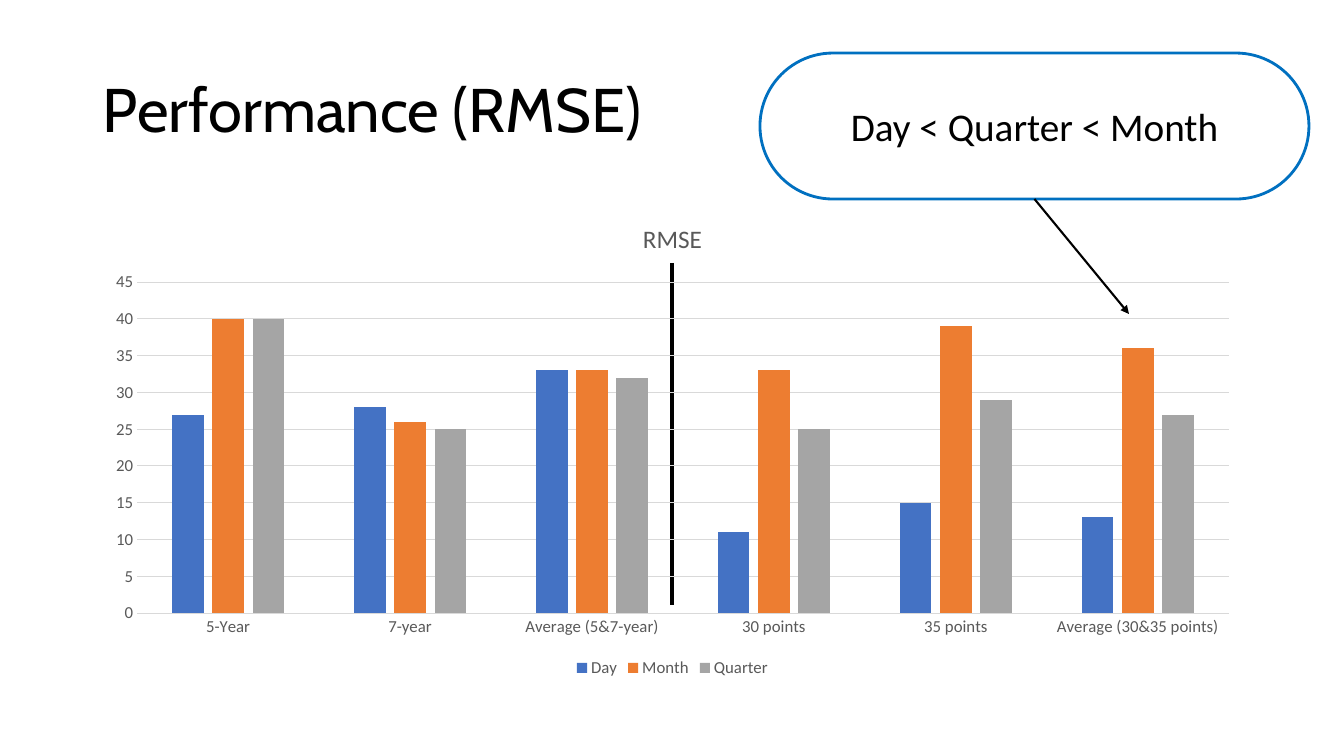
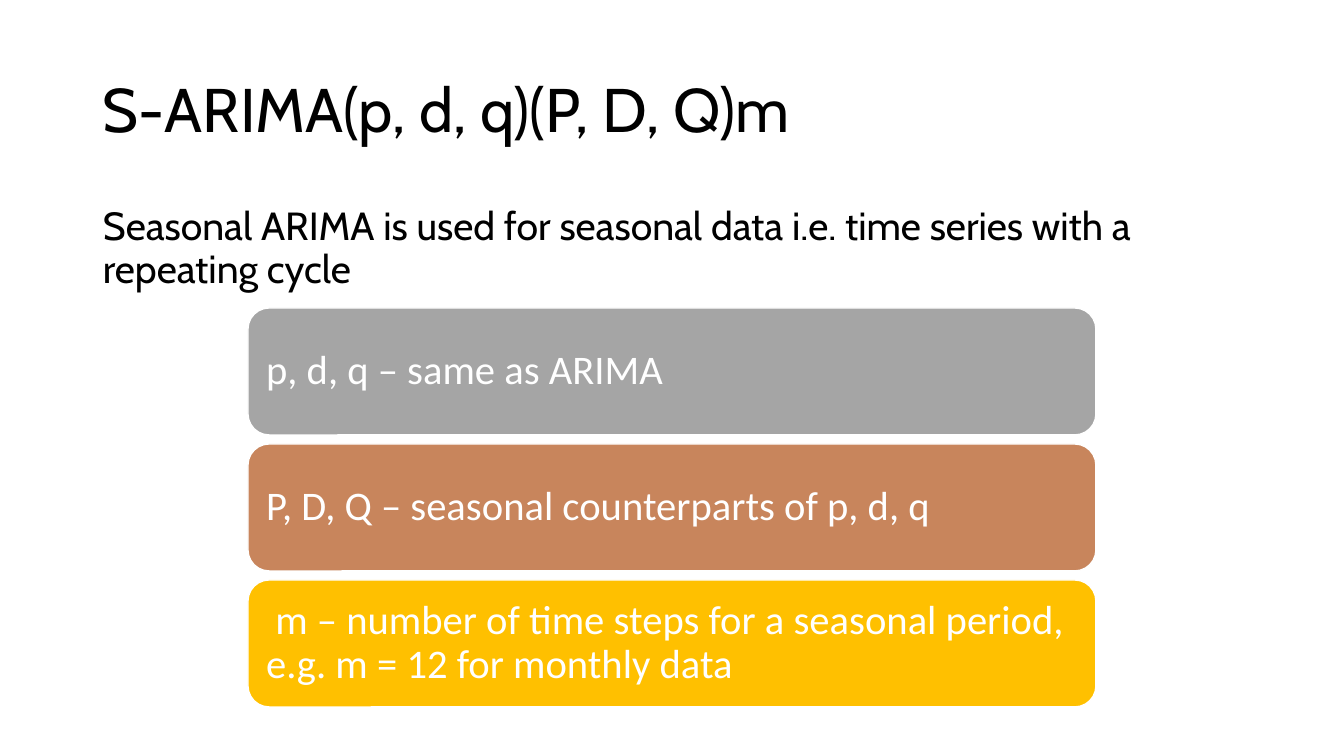
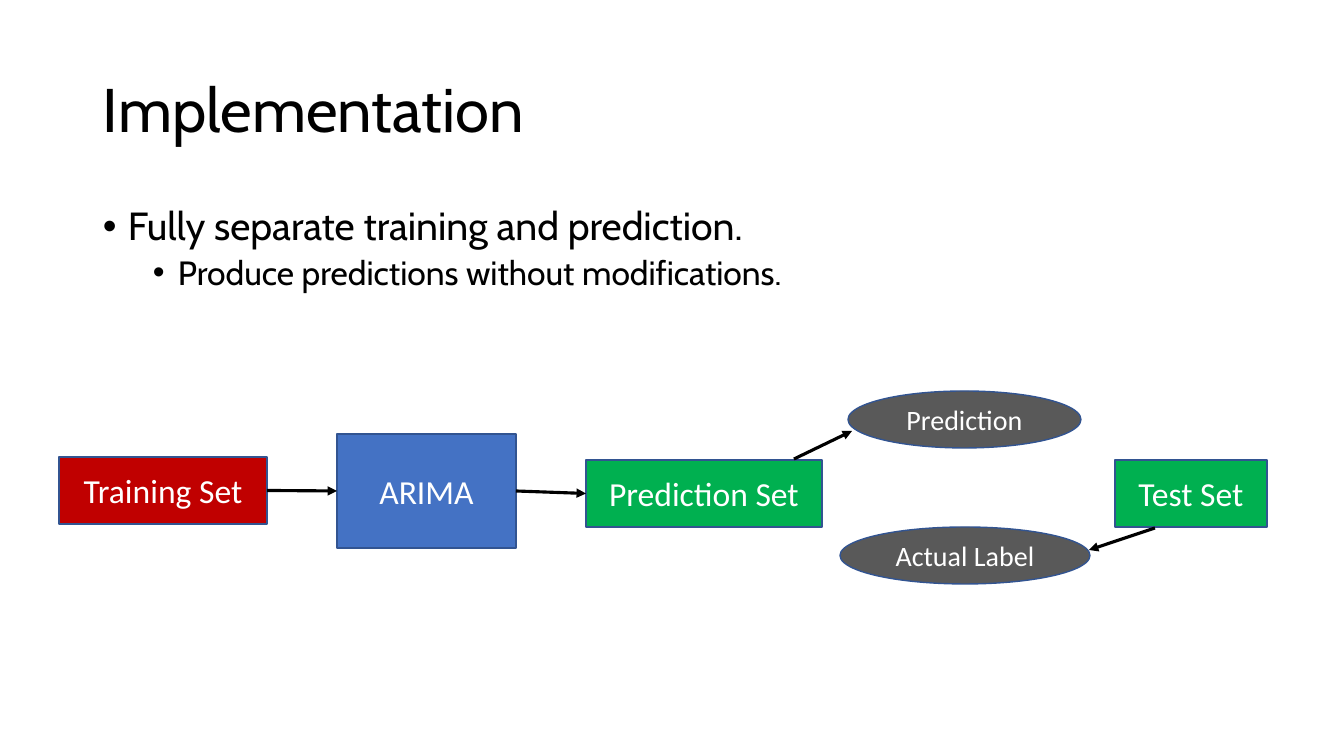
from lxml.etree import SubElement
from pptx import Presentation
from pptx.chart.data import CategoryChartData
from pptx.dml.color import RGBColor
from pptx.enum.chart import XL_CHART_TYPE, XL_LEGEND_POSITION, XL_TICK_MARK
from pptx.enum.shapes import MSO_CONNECTOR, MSO_SHAPE
from pptx.enum.text import MSO_ANCHOR, PP_ALIGN
from pptx.oxml.ns import qn
from pptx.util import Emu, Pt

BLACK = RGBColor(0x00, 0x00, 0x00)
WHITE = RGBColor(0xFF, 0xFF, 0xFF)
BLUE = RGBColor(0x44, 0x72, 0xC4)
ORANGE = RGBColor(0xED, 0x7D, 0x31)
GRAY = RGBColor(0xA5, 0xA5, 0xA5)
COPPER = RGBColor(0xC8, 0x85, 0x5C)
GOLD = RGBColor(0xFF, 0xC0, 0x00)
RED = RGBColor(0xC0, 0x00, 0x00)
GREEN = RGBColor(0x00, 0xB0, 0x50)
DARK_GRAY = RGBColor(0x59, 0x59, 0x59)
GRID_GRAY = RGBColor(0xD9, 0xD9, 0xD9)
OUTLINE = RGBColor(0x32, 0x54, 0x91)
CALLOUT_BLUE = RGBColor(0x00, 0x70, 0xC0)

HEADING_FONT = "Cabin"
TEXT_FONT = "Calibri"

TITLE_AREA = (93, 40, 1159, 146)
BODY_AREA = (93, 202, 1159, 480)
TOP, LEFT, BOTTOM, RIGHT = range(4)


def px(length):
    return Emu(round(length * 914400 / 100.8))


def style_font(font, size, color, name=TEXT_FONT):
    font.size = Pt(size)
    font.name = name
    font.color.rgb = color


def style_paragraph(paragraph, size, color, name=TEXT_FONT, spacing=None):
    paragraph.line_spacing = spacing
    for run in paragraph.runs:
        style_font(run.font, size, color, name)


def add_text_area(slide, area, anchor):
    text_frame = slide.shapes.add_textbox(*map(px, area)).text_frame
    text_frame.word_wrap = True
    text_frame.vertical_anchor = anchor
    return text_frame


def add_title_slide(deck, title):
    slide = deck.slides.add_slide(deck.slide_layouts[6])
    heading = add_text_area(slide, TITLE_AREA, MSO_ANCHOR.MIDDLE)
    heading.text = title
    style_paragraph(heading.paragraphs[0], 44, BLACK, HEADING_FONT, 0.9)
    return slide


def add_bullet(paragraph, indent):
    properties = paragraph._p.get_or_add_pPr()
    properties.set("marL", str(px(indent)))
    properties.set("indent", str(px(-25)))
    SubElement(properties, qn("a:buFont")).set("typeface", "Arial")
    SubElement(properties, qn("a:buChar")).set("char", "•")


def add_body(slide, lines, bulleted=False):
    body = add_text_area(slide, BODY_AREA, MSO_ANCHOR.TOP)
    body.text = "\n".join(lines)
    for level, paragraph in enumerate(body.paragraphs):
        if bulleted:
            add_bullet(paragraph, 25 + 50 * level)
        style_paragraph(paragraph, 28 - 4 * level, BLACK, HEADING_FONT, 0.9)
        if level:
            paragraph.space_before = Pt(5)


def add_box(slide, kind, area, text, size, fill, outline, weight=1, color=WHITE):
    box = slide.shapes.add_shape(kind, *map(px, area))
    box.shadow.inherit = False
    if fill is None:
        box.fill.background()
    else:
        box.fill.solid()
        box.fill.fore_color.rgb = fill
    box.line.color.rgb = outline
    box.line.width = Pt(weight)
    box.text_frame.word_wrap = True
    box.text_frame.vertical_anchor = MSO_ANCHOR.MIDDLE
    box.text_frame.text = text
    label = box.text_frame.paragraphs[0]
    label.alignment = PP_ALIGN.CENTER
    style_paragraph(label, size, color)
    return box


def add_line(slide, start, end, weight, arrow=True):
    line = slide.shapes.add_connector(MSO_CONNECTOR.STRAIGHT, *map(px, start + end))
    line.line.color.rgb = BLACK
    line.line.width = Pt(weight)
    properties = line._element.spPr
    if arrow:
        SubElement(properties.find(qn("a:ln")), qn("a:tailEnd")).set("type", "triangle")
    SubElement(properties, qn("a:effectLst"))
    return line


def style_axis(axis):
    axis.major_tick_mark = XL_TICK_MARK.NONE
    axis.minor_tick_mark = XL_TICK_MARK.NONE
    style_font(axis.tick_labels.font, 12, DARK_GRAY)


def style_rule(line):
    line.color.rgb = GRID_GRAY
    line.width = Pt(0.75)


def add_column_chart(slide, title, categories, series):
    data = CategoryChartData()
    data.categories = categories
    for name, values, _ in series:
        data.add_series(name, values)
    chart = slide.shapes.add_chart(
        XL_CHART_TYPE.COLUMN_CLUSTERED, *map(px, BODY_AREA), data
    ).chart
    style_font(chart.font, 10, BLACK)

    chart.has_title = True
    chart.chart_title.text_frame.text = title
    heading = chart.chart_title.text_frame.paragraphs[0].runs[0].font
    style_font(heading, 18, DARK_GRAY)
    heading.bold = False
    chart.chart_title.include_in_layout = False

    chart.has_legend = True
    chart.legend.position = XL_LEGEND_POSITION.BOTTOM
    chart.legend.include_in_layout = False
    style_font(chart.legend.font, 12, DARK_GRAY)

    style_axis(chart.category_axis)
    style_rule(chart.category_axis.format.line)
    style_axis(chart.value_axis)
    chart.value_axis.format.line.fill.background()
    chart.value_axis.minimum_scale = 0
    chart.value_axis.maximum_scale = 45
    chart.value_axis.major_unit = 5
    style_rule(chart.value_axis.major_gridlines.format.line)

    plot = chart.plots[0]
    plot.vary_by_categories = False
    plot.gap_width = 219
    plot.overlap = -27
    for columns, (_, _, color) in zip(plot.series, series):
        columns.format.fill.solid()
        columns.format.fill.fore_color.rgb = color


def build_performance(deck):
    slide = add_title_slide(deck, "Performance (RMSE)")
    add_line(slide, (672, 263), (672, 605), 2.25, arrow=False)
    add_column_chart(
        slide,
        "RMSE",
        ["5-Year", "7-year", "Average (5&7-year)",
         "30 points", "35 points", "Average (30&35 points)"],
        [
            ("Day", (27, 28, 33, 11, 15, 13), BLUE),
            ("Month", (40, 26, 33, 33, 39, 36), ORANGE),
            ("Quarter", (40, 25, 32, 25, 29, 27), GRAY),
        ],
    )
    ranking = add_box(slide, MSO_SHAPE.ROUNDED_RECTANGLE, (760, 53, 549, 146),
                      "Day < Quarter < Month", 28, None, CALLOUT_BLUE, 2, BLACK)
    ranking.adjustments[0] = 0.5
    pointer = add_line(slide, (1034, 199), (1129, 314), 1.5)
    pointer.begin_connect(ranking, BOTTOM)


def build_seasonal_arima(deck):
    slide = add_title_slide(deck, "S-ARIMA(p, d, q)(P, D, Q)m")
    add_body(slide, ["Seasonal ARIMA is used for seasonal data i.e. time series with a repeating cycle"])
    parameters = [
        ("p, d, q – same as ARIMA", GRAY),
        ("P, D, Q – seasonal counterparts of p, d, q", COPPER),
        (" m – number of time steps for a seasonal period, e.g. m = 12 for monthly data ", GOLD),
    ]
    for row, (meaning, fill) in enumerate(parameters):
        card = add_box(slide, MSO_SHAPE.ROUNDED_RECTANGLE, (248, 308 + 136 * row, 848, 127),
                       meaning, 29, fill, WHITE)
        card.text_frame.margin_left = card.text_frame.margin_right = px(12)
        label = card.text_frame.paragraphs[0]
        label.alignment = PP_ALIGN.LEFT
        label.line_spacing = 0.9


def build_implementation(deck):
    slide = add_title_slide(deck, "Implementation")
    add_body(slide, ["Fully separate training and prediction.",
                     "Produce predictions without modifications."], bulleted=True)

    def add_stage(text, area, fill):
        return add_box(slide, MSO_SHAPE.RECTANGLE, area, text, 24, fill, OUTLINE)

    def add_result(text, area):
        return add_box(slide, MSO_SHAPE.OVAL, area, text, 20, DARK_GRAY, OUTLINE)

    arima = add_stage("ARIMA", (337, 434, 179, 114), BLUE)
    add_stage("Test Set", (1115, 460, 152, 67), GREEN)
    training_set = add_stage("Training Set", (59, 457, 208, 67), RED)
    add_result("Prediction", (848, 391, 233, 57))
    add_result("Actual Label", (840, 527, 250, 57))
    prediction_set = add_stage("Prediction Set", (586, 460, 236, 67), GREEN)

    for source, target in ((training_set, arima), (arima, prediction_set)):
        flow = add_line(slide, (267, 490), (337, 490), 2.25)
        flow.begin_connect(source, RIGHT)
        flow.end_connect(target, LEFT)
    add_line(slide, (794, 459), (852, 431), 2.25)
    add_line(slide, (1155, 528), (1089, 550), 2.25)


def main():
    deck = Presentation()
    deck.slide_width = px(1344)
    deck.slide_height = px(756)
    build_performance(deck)
    build_seasonal_arima(deck)
    build_implementation(deck)
    deck.save("out.pptx")


if __name__ == "__main__":
    main()
